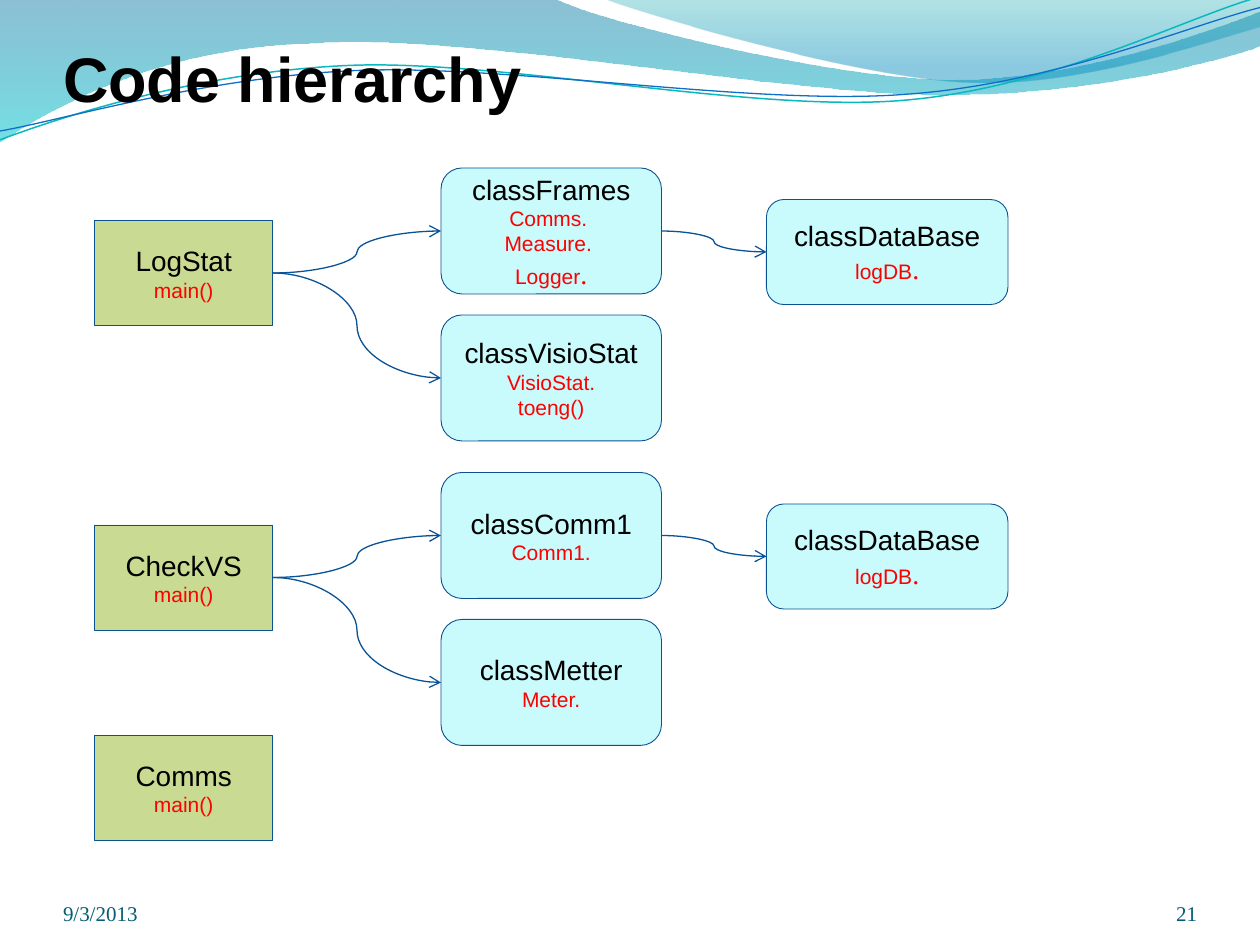
from lxml import etree
from pptx import Presentation
from pptx.dml.color import RGBColor
from pptx.enum.shapes import MSO_CONNECTOR, MSO_SHAPE
from pptx.enum.text import MSO_ANCHOR, MSO_AUTO_SIZE, PP_ALIGN
from pptx.oxml.ns import qn
from pptx.util import Inches, Pt

RECT, ROUNDED = MSO_SHAPE.RECTANGLE, MSO_SHAPE.ROUNDED_RECTANGLE
CURVE = MSO_CONNECTOR.CURVE
MIDDLE, BOTTOM = MSO_ANCHOR.MIDDLE, MSO_ANCHOR.BOTTOM
LEFT, CENTER, RIGHT = PP_ALIGN.LEFT, PP_ALIGN.CENTER, PP_ALIGN.RIGHT
NO_FIT = MSO_AUTO_SIZE.NONE
LEFT_SITE, RIGHT_SITE = 1, 3
COLORS = {
    "text": "000000", "member": "FF0000", "footer": "045D75",
    "program": "C9DA92", "class": "C9FAFC", "border": "0B5292", "arrow": "095295",
    "wave_blue": "0074A1", "wave_aqua": "00C6CF",
    "crest_teal": "00A1A9", "crest_blue": "008BBF",
    "thread_teal": "0AB8BF", "thread_blue": "0F6FC6",
}
SANS, SERIF = "Arial", "Times New Roman"


def color(name):
    return RGBColor.from_string(COLORS[name])


def grid(units):
    """Twelve grid units make one inch."""
    return Inches(units / 12)


class SlideBuilder:
    def __init__(self, deck):
        self.page = deck.slides.add_slide(deck.slide_layouts[5])
        self.shapes = self.page.shapes

    def style(self, font, size, name, face=SANS):
        font.size, font.name, font.color.rgb = Pt(size), face, color(name)

    def outline(self, parts, closed):
        """Draw points and (control, control, end) curves, in hundredths of an inch."""
        ends = [part if len(part) == 2 else part[2] for part in parts]
        builder = self.shapes.build_freeform(*ends[0], scale=Inches(0.01))
        builder.add_line_segments(ends[1:], close=closed)
        shape = builder.convert_to_shape()
        shape.shadow.inherit = False
        left, top = (min(values) for values in zip(*ends))
        segments = list(shape._element.spPr.iter(qn("a:lnTo")))
        for segment, part in zip(segments, parts[1:]):
            if len(part) == 3:
                bezier = etree.Element(qn("a:cubicBezTo"))
                for x, y in part:
                    etree.SubElement(bezier, qn("a:pt"), x=str(x - left), y=str(y - top))
                segment.getparent().replace(segment, bezier)
        return shape

    def wave(self, parts, stops):
        shape = self.outline(parts, True)
        shape.line.fill.background()
        shape.fill.gradient()
        shape.fill.gradient_angle = 270
        for stop, (position, name, _) in zip(shape.fill.gradient_stops, stops):
            stop.position = position
            stop.color.rgb = color(name)
        tones = list(shape._element.spPr.iter(qn("a:srgbClr")))
        for tone, (_, _, opacity) in zip(tones, stops):
            etree.SubElement(tone, qn("a:alpha")).set("val", str(opacity * 1000))

    def thread(self, parts, name, width):
        shape = self.outline(parts, False)
        shape.fill.background()
        shape.line.color.rgb, shape.line.width = color(name), Pt(width)

    def title(self, text, left, top, width, height):
        box = self.shapes.title
        self.shapes._spTree.append(box._element)  # in front of the waves
        box.left, box.top, box.width, box.height = map(grid, (left, top, width, height))
        frame = box.text_frame
        frame.text, frame.vertical_anchor, frame.auto_size = text, BOTTOM, NO_FIT
        frame.margin_left = frame.margin_right = frame.margin_bottom = 0
        para = frame.paragraphs[0]
        para.alignment = LEFT
        self.style(para.font, 36, "text")
        para.font.bold = True

    def footer(self, text, left, width, alignment):
        box = self.shapes.add_textbox(grid(left), Inches(6.95), grid(width), Inches(0.4))
        frame = box.text_frame
        frame.text, frame.word_wrap, frame.vertical_anchor = text, True, BOTTOM
        frame.margin_left = frame.margin_right = frame.margin_top = frame.margin_bottom = 0
        para = frame.paragraphs[0]
        para.alignment = alignment
        self.style(para.font, 12, "footer", SERIF)

    def node(self, kind, left, top, width, height, name, members, big_dot=False):
        box = self.shapes.add_shape(RECT if kind == "program" else ROUNDED,
                                    *map(grid, (left, top, width, height)))
        box.shadow.inherit = False
        box.fill.solid()
        box.fill.fore_color.rgb = color(kind)
        box.line.color.rgb, box.line.width = color("border"), Pt(0.5)
        frame = box.text_frame
        frame.word_wrap, frame.vertical_anchor = True, MIDDLE
        frame.text = "\n".join([name, *members])
        for index, para in enumerate(frame.paragraphs):
            para.alignment = CENTER
            self.style(para.font, 12 if index else 16, "member" if index else "text")
        if big_dot:
            span = para.add_run()
            span.text = "."
            self.style(span.font, 16, "member", SERIF)
        return box

    def arrow(self, source, target):
        link = self.shapes.add_connector(CURVE, 0, 0, 0, 0)
        link.begin_connect(source, RIGHT_SITE)
        link.end_connect(target, LEFT_SITE)
        link.line.color.rgb, link.line.width = color("arrow"), Pt(0.75)
        etree.SubElement(link.line._get_or_add_ln(), qn("a:tailEnd")).set("type", "arrow")
        etree.SubElement(link._element.spPr, qn("a:effectLst"))


def main():
    deck = Presentation()
    deck.slide_width, deck.slide_height = Inches(10), Inches(7.5)
    slide = SlideBuilder(deck)

    # Waves along the top edge
    slide.wave([(0, 0), (440, -1),
                ((476, 17), (664, 63), (758, 63)),
                ((853, 63), (958, 26), (1000, 9)), (1001, 36),
                ((983, 44), (870, 76), (746, 75)),
                ((622, 75), (382, 28), (257, 34)),
                ((129, 36), (46, 83), (-1, 113))],
               [(0, "wave_blue", 45), (1, "wave_aqua", 55)])
    slide.wave([(479, -1),
                ((509, 11), (682, 62), (769, 65)),
                ((856, 69), (961, 32), (1000, 21)), (1000, 0)],
               [(0, "crest_teal", 30), (0.8, "crest_blue", 45)])
    slide.thread([(0, 111),
                  ((48, 93), (158, 57), (277, 52)),
                  ((395, 47), (593, 89), (713, 80)),
                  ((833, 71), (938, 15), (998, -2))], "thread_teal", 0.85)
    slide.thread([(0, 104),
                  ((47, 96), (164, 61), (283, 56)),
                  ((403, 51), (597, 84), (717, 75)),
                  ((836, 67), (941, 21), (1000, 6))], "thread_blue", 0.75)

    # Title and footer
    slide.title("Code hierarchy", 6, 3, 108, 8)
    slide.footer("9/3/2013", 6, 28, LEFT)
    slide.footer("21", 104, 10, RIGHT)

    # Programs, the classes they use, and the database behind the first class
    families = [
        (21, "LogStat",
         [(16, "classFrames", ["Comms. ", "Measure. ", "Logger"], True),
          (30, "classVisioStat", ["VisioStat.", "toeng()"], False)], 19),
        (50, "CheckVS",
         [(45, "classComm1", ["Comm1."], False),
          (59, "classMetter", ["Meter."], False)], 48),
        (70, "Comms", [], None),
    ]
    for top, program_name, classes, database_top in families:
        program = slide.node("program", 9, top, 17, 10, program_name, ["main()"])
        users = [slide.node("class", 42, class_top, 21, 12, name, members, big_dot)
                 for class_top, name, members, big_dot in classes]
        for user in users:
            slide.arrow(program, user)
        if users:
            database = slide.node("class", 73, database_top, 23, 10,
                                  "classDataBase", ["logDB"], True)
            slide.arrow(users[0], database)

    deck.save("out.pptx")


if __name__ == "__main__":
    main()
